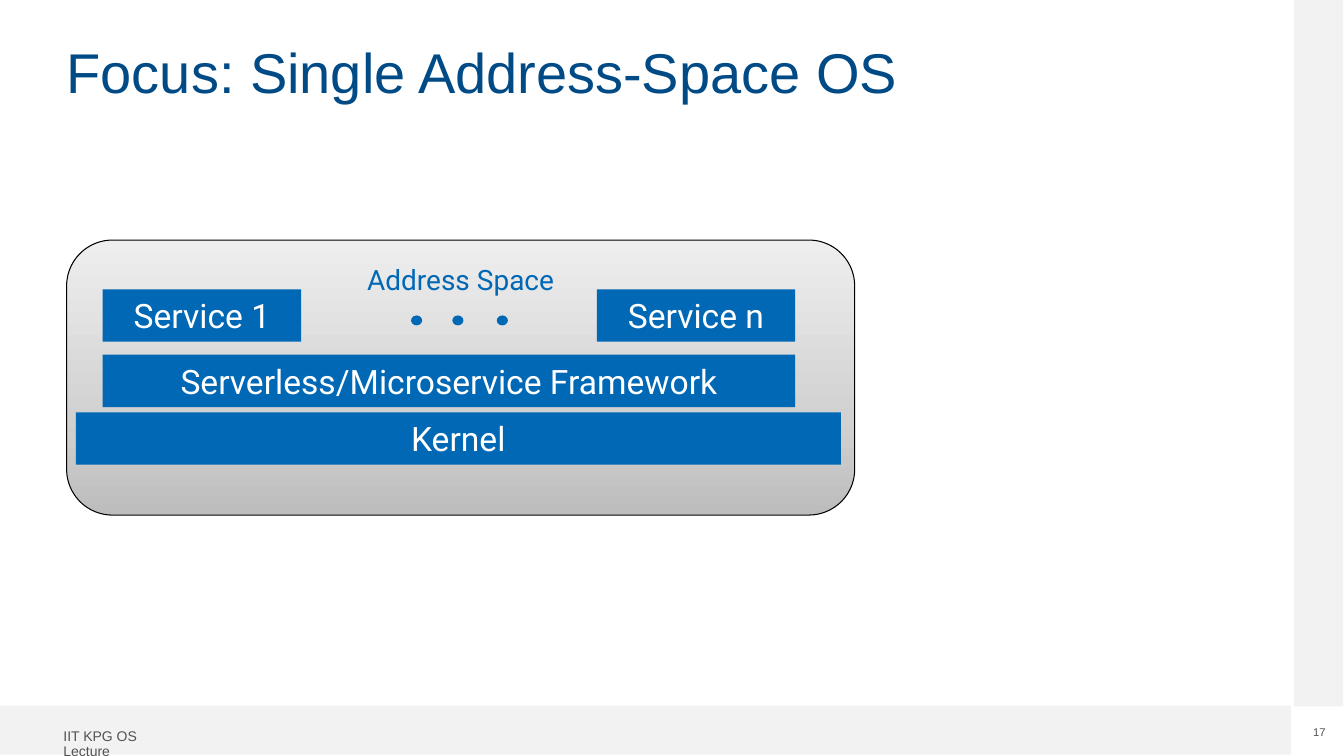
from copy import deepcopy
from dataclasses import dataclass

from pptx import Presentation
from pptx import util as u
from pptx.dml.color import RGBColor
from pptx.enum import shapes, text


@dataclass(frozen=True)
class Theme:
    blue: str = "0068B5"
    title_blue: str = "004A86"
    white: str = "FFFFFF"
    black: str = "000000"
    band: str = "F2F2F2"
    footer: str = "525252"
    panel_stops: tuple = ((0, "BDBDBD"), (0.35, "D1D1D1"), (1, "EEEEEE"))
    heading_font: str = "Arial"
    diagram_font: str = "Roboto"
    title_size: int = 40
    layer_size: int = 24
    panel_size: int = 20
    footer_size: int = 10
    number_size: int = 8


@dataclass(frozen=True)
class Box:
    """Position and size in centimetres, with an optional label."""
    left: float
    top: float
    width: float
    height: float
    label: str = ""

    @property
    def lengths(self) -> tuple:
        return tuple(u.Cm(v) for v in (self.left, self.top, self.width, self.height))


THEME = Theme()
LAYER_HEIGHT = 1.32
SERVICE_TOP, SERVICE_WIDTH = 7.29, 5.0
FRAMEWORK = Box(2.59, 8.94, 17.45, LAYER_HEIGHT, "Serverless/Microservice Framework")
SERVICE_N_LEFT = FRAMEWORK.left + FRAMEWORK.width - SERVICE_WIDTH

BANDS = (Box(0, 17.78, 32.54, 1.24), Box(32.61, 0, 1.24, 17.8))
PANEL = Box(1.68, 6.05, 19.86, 6.93, "Address Space")
LAYERS = (
    Box(1.91, 10.39, 19.28, LAYER_HEIGHT, "Kernel"),
    Box(FRAMEWORK.left, SERVICE_TOP, SERVICE_WIDTH, LAYER_HEIGHT, "Service 1"),
    Box(SERVICE_N_LEFT, SERVICE_TOP, SERVICE_WIDTH, LAYER_HEIGHT, "Service n"),
    FRAMEWORK,
)
DOTS = tuple(Box(left, 7.95, 0.28, 0.25) for left in (10.36, 11.4, 12.52))
TITLE = Box(1.68, 1.14, 30.48, 3.23, "Focus: Single Address-Space OS")
FOOTER = Box(1.35, 18.24, 3.56, 0.64, "IIT KPG OS Lecture")
NUMBER = Box(33.07, 18.29, 0.36, 0.33, "17")


def write(shape, label: str, font: str, size: int, color: str,
          align=text.PP_ALIGN.CENTER, anchor=text.MSO_ANCHOR.MIDDLE,
          inset: float = 0.15, wrap: bool = True, spacing: float = 1.0) -> None:
    frame = shape.text_frame
    frame.text = label
    frame.word_wrap = wrap
    frame.auto_size = text.MSO_AUTO_SIZE.NONE
    frame.vertical_anchor = anchor
    frame.margin_left = frame.margin_right = u.Cm(inset)
    frame.margin_top = frame.margin_bottom = u.Cm(inset)
    paragraph = frame.paragraphs[0]
    paragraph.alignment = align
    paragraph.line_spacing = spacing
    paragraph.font.name = font
    paragraph.font.size = u.Pt(size)
    paragraph.font.color.rgb = RGBColor.from_string(color)


def add_box(slide, kind: shapes.MSO_SHAPE, box: Box, fill: str):
    shape = slide.shapes.add_shape(kind, *box.lengths)
    shape.shadow.inherit = False
    shape.fill.solid()
    shape.fill.fore_color.rgb = RGBColor.from_string(fill)
    shape.line.fill.background()
    return shape


def add_panel(slide) -> None:
    panel = add_box(slide, shapes.MSO_SHAPE.ROUNDED_RECTANGLE, PANEL, THEME.white)
    panel.line.color.rgb = RGBColor.from_string(THEME.black)
    panel.line.width = u.Pt(0.75)
    panel.fill.gradient()
    panel.fill.gradient_angle = 90
    # A new gradient has two stops: add the third
    first_stop = panel.fill._xPr.xpath("a:gradFill/a:gsLst/a:gs")[0]
    first_stop.addnext(deepcopy(first_stop))
    for stop, (position, color) in zip(panel.fill.gradient_stops, THEME.panel_stops):
        stop.position = position
        stop.color.rgb = RGBColor.from_string(color)
    write(panel, PANEL.label, THEME.diagram_font, THEME.panel_size, THEME.blue,
          anchor=text.MSO_ANCHOR.TOP, inset=0.22)


def add_title(slide) -> None:
    title = slide.shapes.title
    title.left, title.top, title.width, title.height = TITLE.lengths
    write(title, TITLE.label, THEME.heading_font, THEME.title_size, THEME.title_blue,
          align=text.PP_ALIGN.LEFT, anchor=text.MSO_ANCHOR.TOP, inset=0, spacing=0.9)


def add_footer(slide) -> None:
    footer = slide.shapes.add_textbox(*FOOTER.lengths)
    write(footer, FOOTER.label, THEME.heading_font, THEME.footer_size, THEME.footer,
          align=text.PP_ALIGN.LEFT, anchor=text.MSO_ANCHOR.TOP, inset=0.25, spacing=0.9)
    footer.text_frame.margin_top = u.Cm(0.13)
    number = slide.shapes.add_textbox(*NUMBER.lengths)
    write(number, NUMBER.label, THEME.heading_font, THEME.number_size, THEME.footer,
          anchor=text.MSO_ANCHOR.TOP, inset=0, wrap=False)


def main() -> None:
    presentation = Presentation()
    presentation.slide_width, presentation.slide_height = u.Cm(33.87), u.Cm(19.05)
    slide = presentation.slides.add_slide(presentation.slide_layouts[5])

    # Page frame
    for band in BANDS:
        add_box(slide, shapes.MSO_SHAPE.RECTANGLE, band, THEME.band)
    add_footer(slide)
    add_title(slide)

    # Address space with its layers
    add_panel(slide)
    for layer in LAYERS:
        shape = add_box(slide, shapes.MSO_SHAPE.RECTANGLE, layer, THEME.blue)
        write(shape, layer.label, THEME.diagram_font, THEME.layer_size, THEME.white)

    # Dots between the first and the last service
    for dot in DOTS:
        add_box(slide, shapes.MSO_SHAPE.OVAL, dot, THEME.blue)

    presentation.save("out.pptx")


if __name__ == "__main__":
    main()
